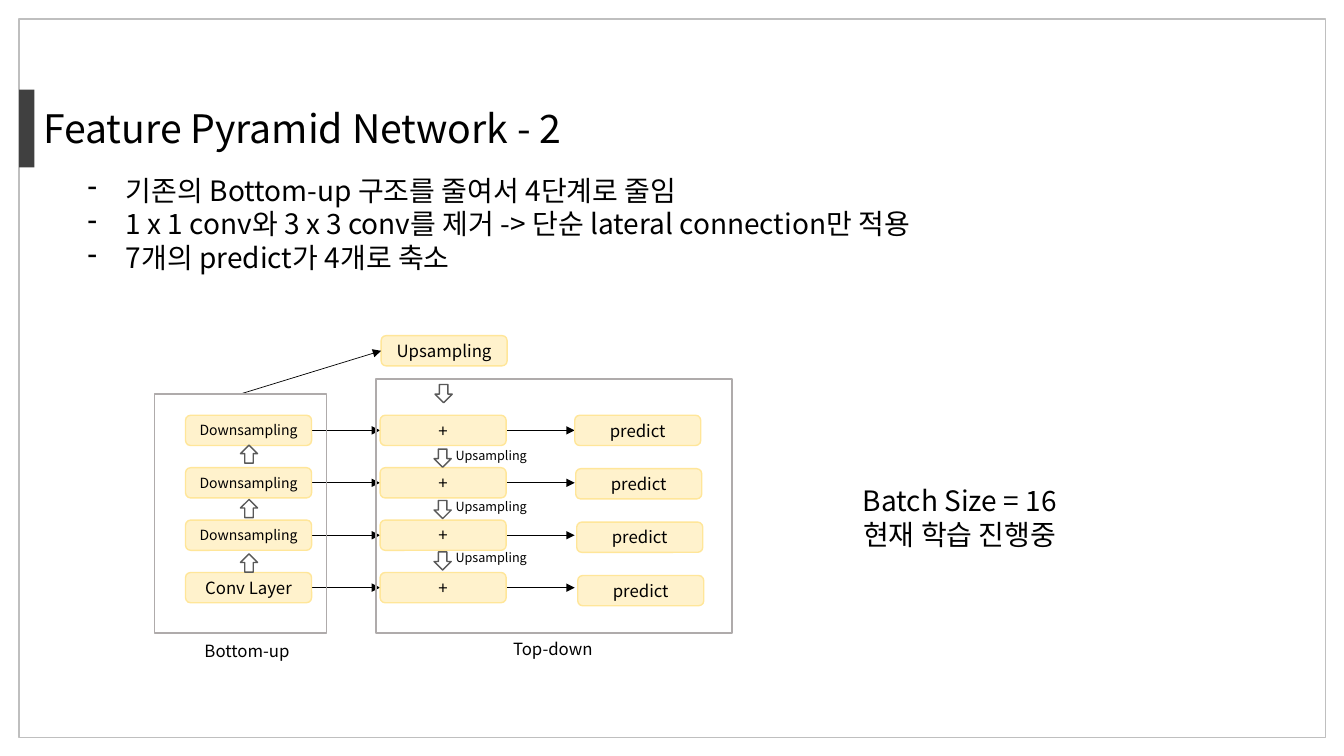
"""Build the Feature Pyramid Network slide."""
from lxml.etree import SubElement
from pptx import Presentation
from pptx.dml.color import RGBColor
from pptx.enum.shapes import MSO_CONNECTOR, MSO_SHAPE as SHAPE
from pptx.enum.text import MSO_ANCHOR, MSO_AUTO_SIZE, PP_ALIGN as ALIGN
from pptx.oxml.ns import qn
from pptx.util import Inches, Pt

FONT = "Noto Sans CJK KR"
BLACK, GREY, FRAME = "000000", "595959", "AFABAB"
TITLE = "Feature Pyramid Network - 2"
POINTS = [
    "기존의 Bottom-up 구조를 줄여서 4단계로 줄임",
    "1 x 1 conv와 3 x 3 conv를 제거 -> 단순 lateral connection만 적용",
    "7개의 predict가 4개로 축소",
]
STATUS = ["Batch Size = 16", "현재 학습 진행중"]
ROWS = [
    ("Downsampling", 10, "+", "predict"),
    ("Downsampling", 10, "+", "predict"),
    ("Downsampling", 10, "+", "predict"),
    ("Conv Layer", 12, "+", "predict"),
]
STEP = "Upsampling"
CAPTIONS = [("Bottom-up", 1.93, 6.31), ("Top-down", 4.99, 6.29)]
PANELS = [(1.53, 3.91, 1.71, 2.37), (3.73, 3.76, 3.53, 2.52)]

BOX_W, BOX_H = 1.25, 0.3
UP_X, MERGE_X, PREDICT_X = 1.84, 3.77, 5.7
TOP, PITCH, PREDICT_PITCH = 4.12, 0.52, 0.53


def color(value):
    return RGBColor.from_string(value)


def add_text(p, text, size):
    r = p.add_run()
    r.text = text
    r.font.size = Pt(size)
    r.font.name = FONT
    r.font.color.rgb = color(BLACK)
    SubElement(r.font._element, qn("a:ea")).set("typeface", FONT)


def add_bullet(p):
    pPr = p._p.get_or_add_pPr()
    pPr.set("marL", str(Inches(0.38)))
    pPr.set("indent", str(Inches(-0.38)))
    SubElement(pPr, qn("a:buChar")).set("char", "-")


def text_box(s, lines, x, y, w, h, size, align=ALIGN.LEFT, bullets=False):
    tf = s.shapes.add_textbox(*map(Inches, (x, y, w, h))).text_frame
    tf.word_wrap = True
    tf.auto_size = MSO_AUTO_SIZE.SHAPE_TO_FIT_TEXT
    for i, line in enumerate(lines):
        p = tf.add_paragraph() if i else tf.paragraphs[0]
        p.alignment = align
        if bullets:
            add_bullet(p)
        add_text(p, line, size)


def shape(s, kind, x, y, w, h, fill=None, line=None):
    sp = s.shapes.add_shape(kind, *map(Inches, (x, y, w, h)))
    sp.shadow.inherit = False
    if fill:
        sp.fill.solid()
        sp.fill.fore_color.rgb = color(fill)
    else:
        sp.fill.background()
    if line:
        sp.line.color.rgb = color(line)
        sp.line.width = Pt(1)
    else:
        sp.line.fill.background()
    return sp


def layer(s, text, x, y, size=12):
    sp = shape(s, SHAPE.ROUNDED_RECTANGLE, x, y, BOX_W, BOX_H, "FFF2CC", "FFE699")
    tf = sp.text_frame
    tf.word_wrap = True
    tf.vertical_anchor = MSO_ANCHOR.MIDDLE
    tf.paragraphs[0].alignment = ALIGN.CENTER
    add_text(tf.paragraphs[0], text, size)


def block_arrow(s, x, y, rotation):
    shape(s, SHAPE.RIGHT_ARROW, x, y, 0.18, 0.17, line=GREY).rotation = rotation


def arrow(s, x1, y1, x2, y2):
    cn = s.shapes.add_connector(MSO_CONNECTOR.STRAIGHT, *map(Inches, (x1, y1, x2, y2)))
    cn.line.color.rgb = color(BLACK)
    cn.line.width = Pt(0.5)
    SubElement(cn.line._get_or_add_ln(), qn("a:tailEnd")).set("type", "triangle")
    SubElement(cn._element.spPr, qn("a:effectLst"))


def main():
    prs = Presentation()
    prs.slide_width, prs.slide_height = Inches(13.33), Inches(7.5)
    s = prs.slides.add_slide(prs.slide_layouts[6])

    shape(s, SHAPE.RECTANGLE, 0.19, 0.19, 12.96, 7.13, line="BFBFBF")
    shape(s, SHAPE.RECTANGLE, 0.19, 0.89, 0.15, 0.77, fill="404040")
    text_box(s, [TITLE], 0.33, 0.99, 8.25, 0.57, 28)
    text_box(s, POINTS, 0.77, 1.67, 8.64, 1.11, 20, bullets=True)

    layer(s, STEP, 3.78, 3.33)
    block_arrow(s, 4.31, 3.82, 90)
    arrow(s, 2.38, 3.91, 3.78, 3.48)

    for i, (name, size, merge, predict) in enumerate(ROWS):
        y = TOP + i * PITCH
        mid = y + BOX_H / 2
        arrow(s, UP_X + BOX_W, mid, MERGE_X, mid)
        arrow(s, MERGE_X + BOX_W, mid, PREDICT_X, mid)
        layer(s, name, UP_X, y, size)
        layer(s, merge, MERGE_X, y)
        layer(s, predict, PREDICT_X + i * 0.01, TOP + i * PREDICT_PITCH)

    for i in range(len(ROWS) - 1):
        block_arrow(s, 2.38, 4.42 + i * 0.54, 270)
        block_arrow(s, 4.3, 4.46 + i * 0.51, 90)
        text_box(s, [STEP], 4.42, 4.39 + i * 0.51, 1.88, 0.4, 9)

    for panel in PANELS:
        shape(s, SHAPE.RECTANGLE, *panel, line=FRAME)
    for caption, x, y in CAPTIONS:
        text_box(s, [caption], x, y, 1.3, 0.3, 12)
    text_box(s, STATUS, 5.2, 4.75, 8.64, 0.77, 20, ALIGN.CENTER)

    prs.save("out.pptx")


if __name__ == "__main__":
    main()
